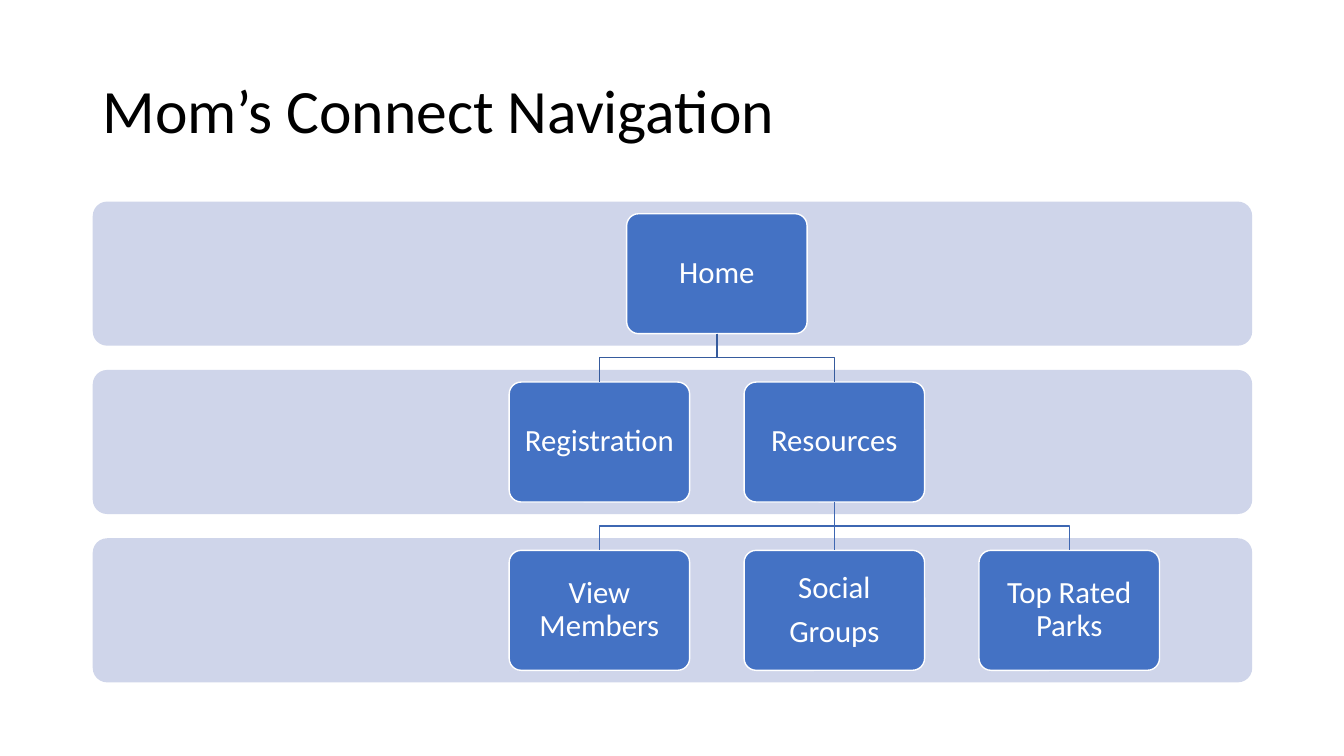
import pptx
import pptx.dml.color
import pptx.enum.shapes
import pptx.enum.text
import pptx.util
from pptx.util import Inches
from lxml import etree

FONT = "Calibri"
BAND_PITCH = 1.67
COLUMN_PITCH = 2.33
BOX_WIDTH, BOX_HEIGHT = 1.79, 1.19

# page: (lines, level, column, parent)
PAGES = {
    "home": (["Home"], 0, 0.5, None),
    "registration": (["Registration"], 1, 0, "home"),
    "resources": (["Resources"], 1, 1, "home"),
    "members": (["View Members"], 2, 0, "resources"),
    "groups": (["Social", "Groups"], 2, 1, "resources"),
    "parks": (["Top Rated Parks"], 2, 2, "resources"),
}
LINK_COLORS = {1: "365B9D", 2: "3E67B2"}


def color(hex_string):
    return pptx.dml.color.RGBColor.from_string(hex_string)


def add_run(paragraph, text, size, hex_string):
    paragraph.line_spacing = 0.9
    run = paragraph.add_run()
    run.text = text
    run.font.name = FONT
    run.font.size = pptx.util.Pt(size)
    run.font.color.rgb = color(hex_string)


def add_title(slide, left, top, width, height):
    title = slide.shapes.add_textbox(Inches(left), Inches(top), Inches(width), Inches(height))
    frame = title.text_frame
    frame.word_wrap = True
    frame.vertical_anchor = pptx.enum.text.MSO_ANCHOR.MIDDLE
    add_run(frame.paragraphs[0], "Mom’s Connect Navigation", 44, "000000")


def add_rounded(slide, left, top, width, height, fill):
    rounded = slide.shapes.add_shape(
        pptx.enum.shapes.MSO_SHAPE.ROUNDED_RECTANGLE,
        Inches(left), Inches(top), Inches(width), Inches(height))
    rounded.adjustments[0] = 0.1
    rounded.shadow.inherit = False
    rounded.fill.solid()
    rounded.fill.fore_color.rgb = color(fill)
    rounded.line.fill.background()
    return rounded


def style_line(line, hex_string):
    line.color.rgb = color(hex_string)
    line.width = pptx.util.Pt(1)


def add_page(slide, lines, left, top):
    page = add_rounded(slide, left, top, BOX_WIDTH, BOX_HEIGHT, "4472C4")
    style_line(page.line, "FFFFFF")
    frame = page.text_frame
    frame.word_wrap = True
    frame.vertical_anchor = pptx.enum.text.MSO_ANCHOR.MIDDLE
    frame.margin_left = frame.margin_right = Inches(0.12)
    frame.margin_top = frame.margin_bottom = Inches(0.12)
    for index, line in enumerate(lines):
        paragraph = frame.paragraphs[0] if index == 0 else frame.add_paragraph()
        paragraph.alignment = pptx.enum.text.PP_ALIGN.CENTER
        paragraph.space_before = pptx.util.Pt(7.7 if index else 0)
        add_run(paragraph, line, 22, "FFFFFF")
    return page


def add_link(slide, parent, child, hex_string):
    """Join a parent's bottom to a child's top, bending halfway if they are offset."""
    start_x = parent.left + parent.width // 2
    start_y = parent.top + parent.height
    end_x = child.left + child.width // 2
    if start_x == end_x:
        link = slide.shapes.add_connector(
            pptx.enum.shapes.MSO_CONNECTOR.STRAIGHT, start_x, start_y, end_x, child.top)
        link.begin_connect(parent, 2)
        link.end_connect(child, 0)
        etree.SubElement(link.line._get_or_add_ln().getparent(),
                         pptx.oxml.ns.qn("a:effectLst"))
    else:
        middle_y = (start_y + child.top) // 2
        builder = slide.shapes.build_freeform(start_x, start_y)
        builder.add_line_segments(
            [(start_x, middle_y), (end_x, middle_y), (end_x, child.top)], close=False)
        link = builder.convert_to_shape()
        link.fill.background()
        link.shadow.inherit = False
    style_line(link.line, hex_string)


def add_site_map(slide, left, top, width):
    for level in range(3):
        add_rounded(slide, left, top + level * BAND_PITCH, width, 1.43, "CFD5EA")
    boxes = {}
    for name, (lines, level, column, parent) in PAGES.items():
        boxes[name] = add_page(slide, lines, left + 4.13 + column * COLUMN_PITCH,
                               top + 0.12 + level * BAND_PITCH)
        if parent:
            add_link(slide, boxes[parent], boxes[name], LINK_COLORS[level])


def main():
    deck = pptx.Presentation()
    deck.slide_width, deck.slide_height = Inches(13.33), Inches(7.5)
    slide = deck.slides.add_slide(deck.slide_layouts[6])
    add_title(slide, 0.92, 0.4, 11.5, 1.45)
    add_site_map(slide, 0.92, 2, 11.5)
    deck.save("out.pptx")


if __name__ == "__main__":
    main()
